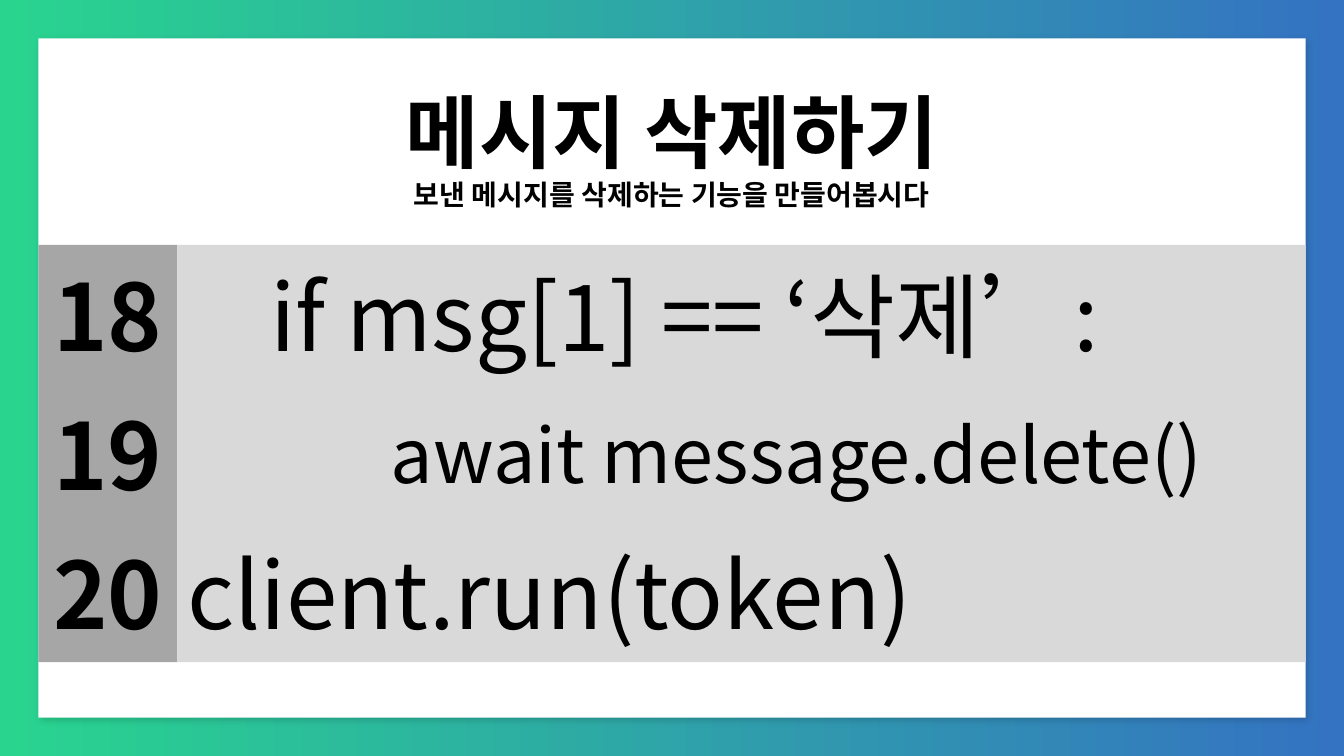
from pptx import Presentation
from pptx.dml.color import RGBColor
from pptx.enum.shapes import MSO_SHAPE
from pptx.enum.text import MSO_ANCHOR, PP_ALIGN
from pptx.oxml import parse_xml
from pptx.oxml.ns import nsdecls, qn
from pptx.util import Inches, Pt

GREEN = RGBColor(0x29, 0xD4, 0x8F)
BLUE = RGBColor(0x34, 0x73, 0xC2)
WHITE = RGBColor(0xFF, 0xFF, 0xFF)
BLACK = RGBColor(0, 0, 0)
NUMBER_GRAY = RGBColor(0xA6, 0xA6, 0xA6)
CODE_GRAY = RGBColor(0xD9, 0xD9, 0xD9)

LEFT, WIDTH = 0.38, 12.57
ROW_TOP, ROW = 2.43, 1.38
CODE_LINES = [
    ("18", "    if msg[1] == ‘삭제’:", 66),
    ("19", "            await message.delete()", 54),
    ("20", "client.run(token)", 66),
]


class CodeSlide:
    font = "Noto Sans CJK KR"

    def __init__(self, prs):
        self.s = prs.slides.add_slide(prs.slide_layouts[6])

    def background(self, *colors):
        fill = self.s.background.fill
        fill.gradient()
        fill.gradient_angle = 0
        for position, (stop, color) in enumerate(zip(fill.gradient_stops, colors)):
            stop.position = position
            stop.color.rgb = color

    def add_text(self, sp, text, size, bold, align, anchor, spacing=1.0):
        tf = sp.text_frame
        tf.word_wrap = True
        tf.vertical_anchor = anchor
        p = tf.paragraphs[0]
        p.alignment = align
        p.line_spacing = spacing
        r = p.add_run()
        r.text = text
        for name, value in {"name": self.font, "size": Pt(size), "bold": bold}.items():
            setattr(r.font, name, value)
        r.font.color.rgb = BLACK
        east_asian = parse_xml(f'<a:ea {nsdecls("a")} typeface="{self.font}"/>')
        r.font._element.find(qn("a:latin")).addnext(east_asian)

    def rect(self, box, color):
        sp = self.s.shapes.add_shape(MSO_SHAPE.RECTANGLE, *map(Inches, box))
        sp.shadow.inherit = False
        sp.fill.solid()
        sp.fill.fore_color.rgb = color
        sp.line.fill.background()
        return sp

    def card(self, box):
        sp = self.rect(box, WHITE)
        effects = sp._element.spPr.find(qn("a:effectLst"))
        effects.append(parse_xml(
            f'<a:outerShdw {nsdecls("a")} blurRad="{Pt(5)}" dist="{Pt(3)}" '
            'dir="2700000" algn="tl" rotWithShape="0">'
            '<a:srgbClr val="000000"><a:alpha val="17000"/></a:srgbClr></a:outerShdw>'))

    def heading(self, box, text, size, anchor):
        sp = self.s.shapes.add_textbox(*map(Inches, box))
        self.add_text(sp, text, size, True, PP_ALIGN.CENTER, anchor, 0.9)

    def code_line(self, top, number, code, size):
        label = self.rect((LEFT, top, ROW, ROW), NUMBER_GRAY)
        self.add_text(label, number, 66, True, PP_ALIGN.CENTER, MSO_ANCHOR.MIDDLE)
        line = self.rect((LEFT + ROW, top, WIDTH - ROW, ROW), CODE_GRAY)
        self.add_text(line, code, size, False, PP_ALIGN.LEFT, MSO_ANCHOR.MIDDLE)


def main():
    prs = Presentation()
    prs.slide_width, prs.slide_height = Inches(13.33), Inches(7.5)
    slide = CodeSlide(prs)

    # Background and white card
    slide.background(GREEN, BLUE)
    slide.card((LEFT, 0.38, WIDTH, 6.74))

    # Title and subtitle
    slide.heading((LEFT, 0.76, WIDTH, 1.19), "메시지 삭제하기", 57, MSO_ANCHOR.MIDDLE)
    slide.heading((LEFT, 1.75, WIDTH, 0.44), "보낸 메시지를 삭제하는 기능을 만들어봅시다",
                  20, MSO_ANCHOR.TOP)

    # Numbered code lines
    for i, (number, code, size) in enumerate(CODE_LINES):
        slide.code_line(ROW_TOP + i * ROW, number, code, size)

    prs.save("out.pptx")


if __name__ == "__main__":
    main()
